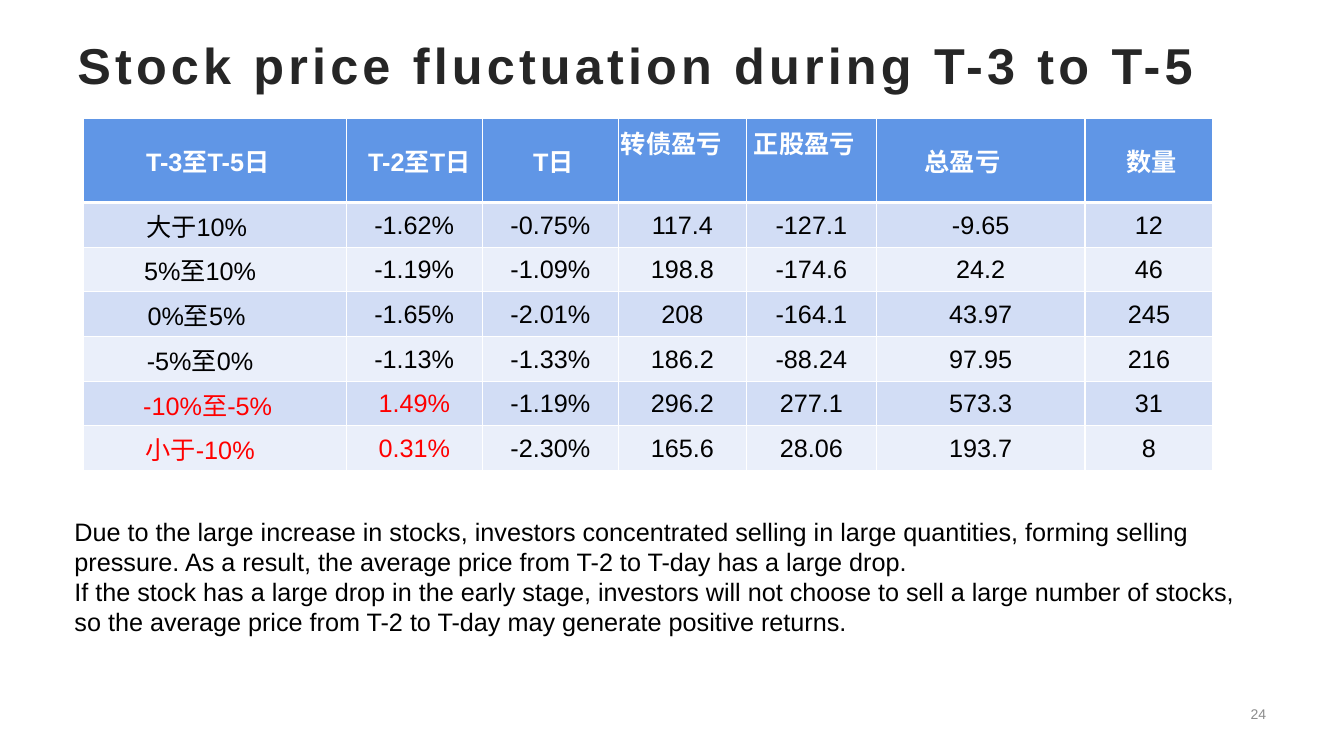
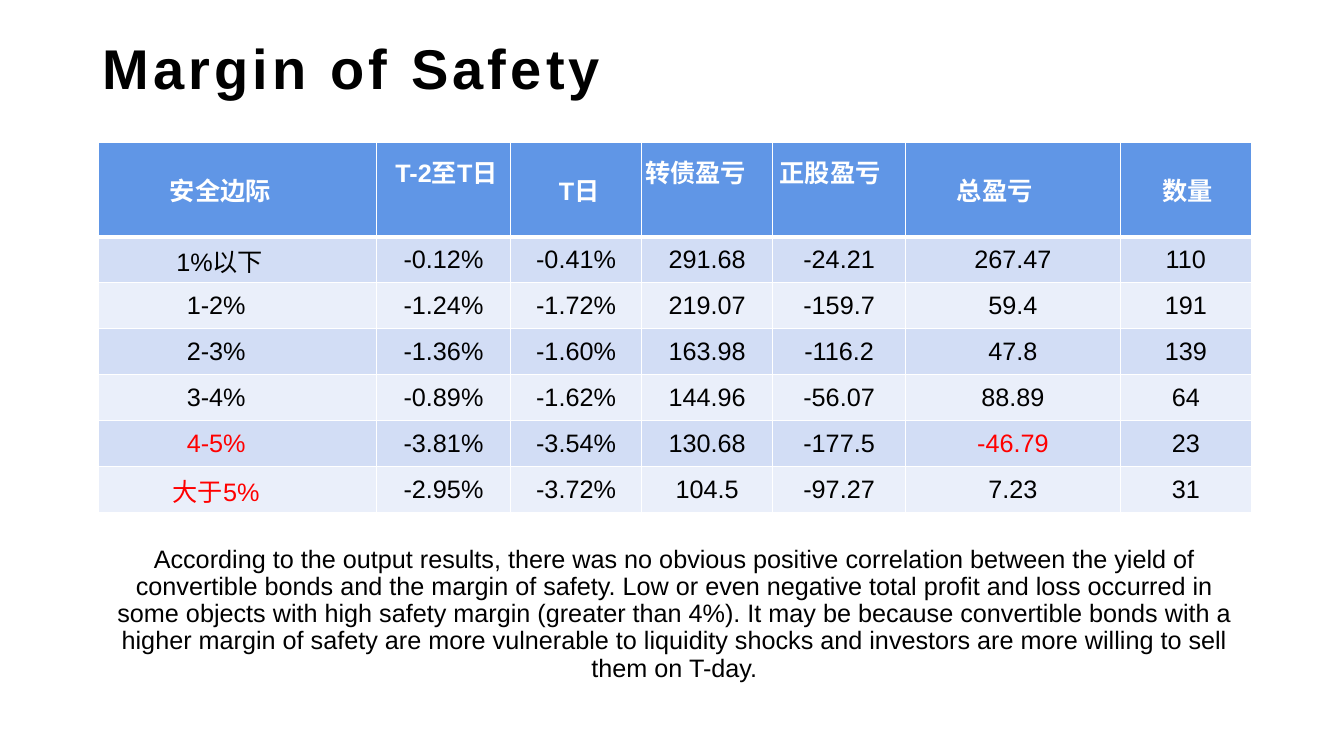
from lxml.etree import SubElement
from pptx import Presentation
from pptx.dml.color import RGBColor
from pptx.enum.text import MSO_ANCHOR as Anchor, MSO_AUTO_SIZE as AutoSize, PP_ALIGN as Align
from pptx.oxml.ns import qn
from pptx.util import Inches, Pt

COLORS = {
    "black": "000000", "ink": "262626", "white": "FFFFFF", "gray": "8C8C8C",
    "red": "FF0000", "header": "6096E6", "band_dark": "D2DDF5", "band_light": "EAEFFA",
}
FONT = "Arial"
COLUMNS, ROWS = 80, 45


def rgb(name):
    """Return the palette colour of that name."""
    return RGBColor.from_string(COLORS[name])


class SlideBuilder:
    """Holds the deck style and the slide being filled, on an 80 by 45 grid."""

    def __init__(self):
        """Start a widescreen deck."""
        self.deck = Presentation()
        self.deck.slide_width, self.deck.slide_height = Inches(13.33), Inches(7.5)
        self.slide = None

    def grid(self, left, top, width, height):
        """Turn grid columns and rows into lengths."""
        column, row = self.deck.slide_width / COLUMNS, self.deck.slide_height / ROWS
        return [round(n) for n in (left * column, top * row, width * column, height * row)]

    def style(self, para, size, color="black", bold=False, align=Align.LEFT, spacing=1.0):
        """Format a paragraph and its runs."""
        para.alignment, para.line_spacing = align, spacing
        for span in para.runs:
            font = span.font
            font.name, font.size, font.bold = FONT, Pt(size), bold
            font.color.rgb = rgb(color)

    def title(self, text, area, size, color="black", spacing=1.0):
        """Add a slide with a bold, letter-spaced title."""
        self.slide = self.deck.slides.add_slide(self.deck.slide_layouts[5])
        box = self.slide.shapes.title
        box.left, box.top, box.width, box.height = self.grid(*area)
        frame = box.text_frame
        frame.text = text
        frame.auto_size, frame.vertical_anchor = AutoSize.NONE, Anchor.MIDDLE
        para = frame.paragraphs[0]
        self.style(para, size, color, bold=True, spacing=spacing)
        para.runs[0].font._element.set("spc", "300")

    def text(self, text, area, size=18, color="black", anchor=Anchor.TOP, **style):
        """Add a wrapped text box with one paragraph per line of text."""
        frame = self.slide.shapes.add_textbox(*self.grid(*area)).text_frame
        frame.word_wrap, frame.vertical_anchor = True, anchor
        frame.text = text
        for para in frame.paragraphs:
            self.style(para, size, color, **style)

    def borders(self, cell, top, bottom):
        """Draw white cell borders, one point wide at the sides."""
        properties = cell._tc.get_or_add_tcPr()
        for side, width in (("L", 1), ("R", 1), ("T", top), ("B", bottom)):
            line = SubElement(properties, qn(f"a:ln{side}"), w=str(Pt(width)))
            fill = SubElement(line, qn("a:solidFill"))
            SubElement(fill, qn("a:srgbClr"), val=COLORS["white"])

    def cell(self, cell, text, fill, color, bold, margins, edges):
        """Fill and format one centred table cell."""
        self.borders(cell, *edges)
        cell.fill.solid()
        cell.fill.fore_color.rgb = rgb(fill)
        cell.vertical_anchor = Anchor.MIDDLE
        left, right, bottom = margins
        cell.margin_left, cell.margin_right = Inches(left), Inches(right)
        cell.margin_top, cell.margin_bottom = Inches(0.01), Inches(bottom)
        cell.text = text
        self.style(cell.text_frame.paragraphs[0], 18, color, bold, Align.CENTER)

    def table(self, place, weights, heights, header, body, label_margins, red):
        """Add a banded table whose header cells carry their own margins."""
        left, top, width = place
        header_height, body_height = heights
        count = len(body)
        area = self.grid(left, top, width, header_height + count * body_height)
        table = self.slide.shapes.add_table(count + 1, len(weights), *area).table
        for column, weight in zip(table.columns, weights):
            column.width = round(area[2] * weight / sum(weights))
        for index, row in enumerate(table.rows):
            row.height = self.grid(0, 0, 0, body_height if index else header_height)[3]
        for column, (text, *margins) in enumerate(header):
            self.cell(table.cell(0, column), text, "header", "white", True, margins, (1, 3))
        for row, values in enumerate(body, 1):
            band = "band_dark" if row % 2 else "band_light"
            for column, text in enumerate(values.split()):
                color = "red" if (row, column) in red else "black"
                right = 0.01 if column else label_margins[row - 1]
                self.cell(table.cell(row, column), text, band, color, False,
                          (0.01, right, 0), (3 if row == 1 else 1, 1))


def fluctuation_slide(page):
    """Build the slide on price moves before the record date."""
    page.title("Stock price fluctuation during T-3 to T-5", (4, 1.7, 69.6, 4.25), 36, "ink")
    page.table(
        (4.95, 7.05, 67.26), (2.61, 1.35, 1.35, 1.27, 1.29, 2.07, 1.27), (5, 2.66),
        [("T-3至T-5日", 0.01, 0.15, 0), ("T-2至T日", 0.2, 0.1, 0), ("T日", 0.07, 0.01, 0),
         ("转债盈亏", 0.01, 0.23, 0.36), ("正股盈亏", 0.01, 0.15, 0.36),
         ("总盈亏", 0.01, 0.37, 0), ("数量", 0.07, 0.01, 0)],
        ["大于10% -1.62% -0.75% 117.4 -127.1 -9.65 12",
         "5%至10% -1.19% -1.09% 198.8 -174.6 24.2 46",
         "0%至5% -1.65% -2.01% 208 -164.1 43.97 245",
         "-5%至0% -1.13% -1.33% 186.2 -88.24 97.95 216",
         "-10%至-5% 1.49% -1.19% 296.2 277.1 573.3 31",
         "小于-10% 0.31% -2.30% 165.6 28.06 193.7 8"],
        (0.37, 0.3, 0.37, 0.3, 0.15, 0.3), {(5, 0), (5, 1), (6, 0), (6, 1)})
    page.text(
        "Due to the large increase in stocks, investors concentrated selling in large "
        "quantities, forming selling pressure. As a result, the average price from T-2 to "
        "T-day has a large drop.\n"
        "If the stock has a large drop in the early stage, investors will not choose to sell "
        "a large number of stocks, so the average price from T-2 to T-day may generate "
        "positive returns.", (3.84, 30.42, 70.8, 8.8))
    page.text("24", (58.25, 41.45, 17.7, 2.1), 10, "gray", Anchor.MIDDLE, align=Align.RIGHT)


def safety_slide(page):
    """Build the slide on the margin of safety."""
    page.title("Margin of Safety", (5.5, 1.15, 69, 6.25), 40, spacing=0.9)
    page.table(
        (5.85, 8.45, 68.64), (2.76, 1.33, 1.3, 1.3, 1.32, 2.13, 1.3), (5.64, 2.74),
        [("安全边际", 0.02, 0.36, 0), ("T-2至T日", 0.08, 0.02, 0.36), ("T日", 0.08, 0.02, 0),
         ("转债盈亏", 0.02, 0.25, 0.36), ("正股盈亏", 0.02, 0.2, 0.36),
         ("总盈亏", 0.02, 0.38, 0), ("数量", 0.06, 0.02, 0)],
        ["1%以下 -0.12% -0.41% 291.68 -24.21 267.47 110",
         "1-2% -1.24% -1.72% 219.07 -159.7 59.4 191",
         "2-3% -1.36% -1.60% 163.98 -116.2 47.8 139",
         "3-4% -0.89% -1.62% 144.96 -56.07 88.89 64",
         "4-5% -3.81% -3.54% 130.68 -177.5 -46.79 23",
         "大于5% -2.95% -3.72% 104.5 -97.27 7.23 31"],
        (0.36, 0.43, 0.43, 0.43, 0.43, 0.43), {(5, 0), (5, 5), (6, 0)})
    page.text(
        "According to the output results, there was no obvious positive correlation between "
        "the yield of convertible bonds and the margin of safety. Low or even negative total "
        "profit and loss occurred in some objects with high safety margin (greater than 4%). "
        "It may be because convertible bonds with a higher margin of safety are more "
        "vulnerable to liquidity shocks and investors are more willing to sell them on T-day.",
        (5.82, 31.74, 68.64, 9.66), anchor=Anchor.MIDDLE, align=Align.CENTER, spacing=0.9)


def main():
    """Build and save the deck."""
    page = SlideBuilder()
    fluctuation_slide(page)
    safety_slide(page)
    page.deck.save("out.pptx")


if __name__ == "__main__":
    main()
